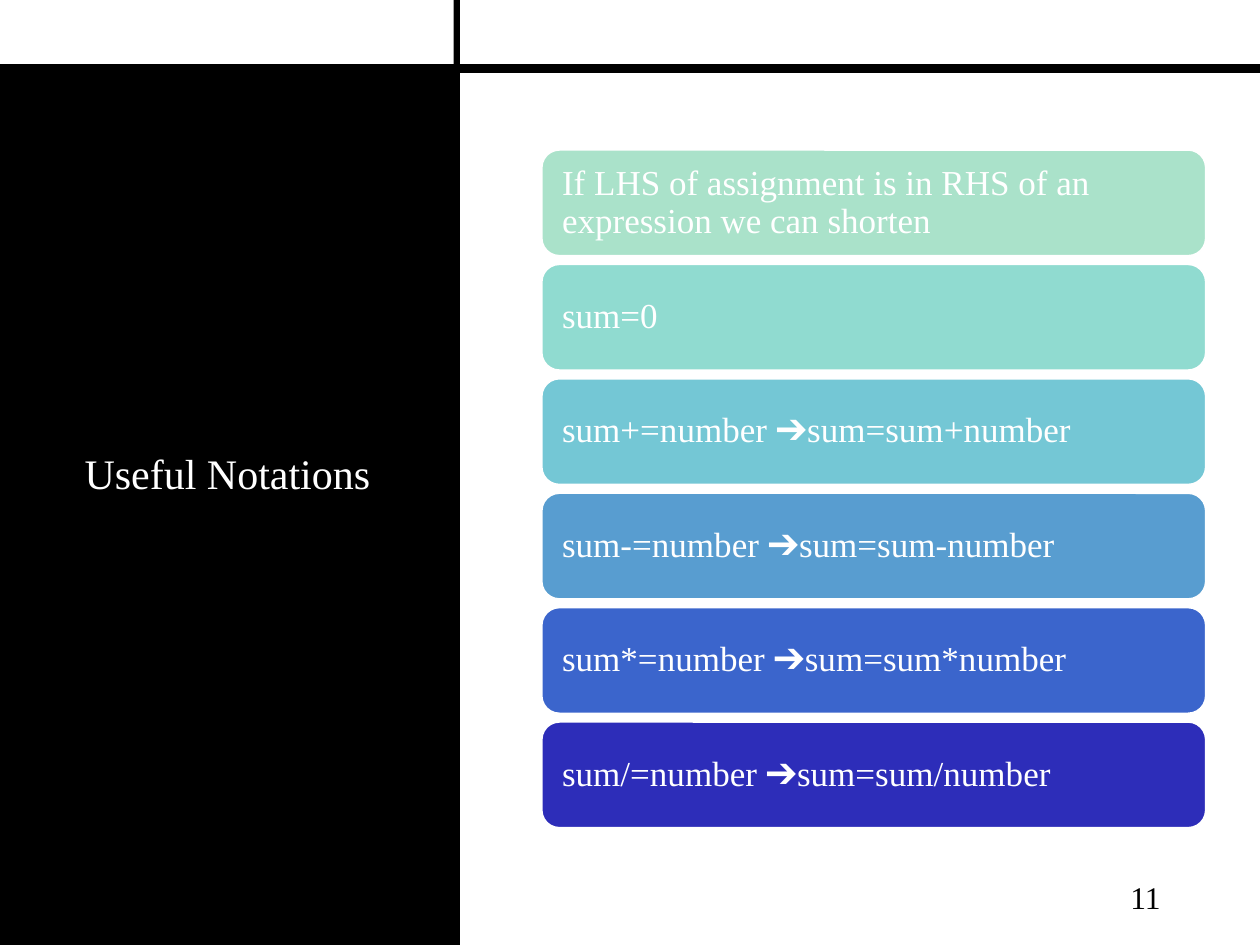
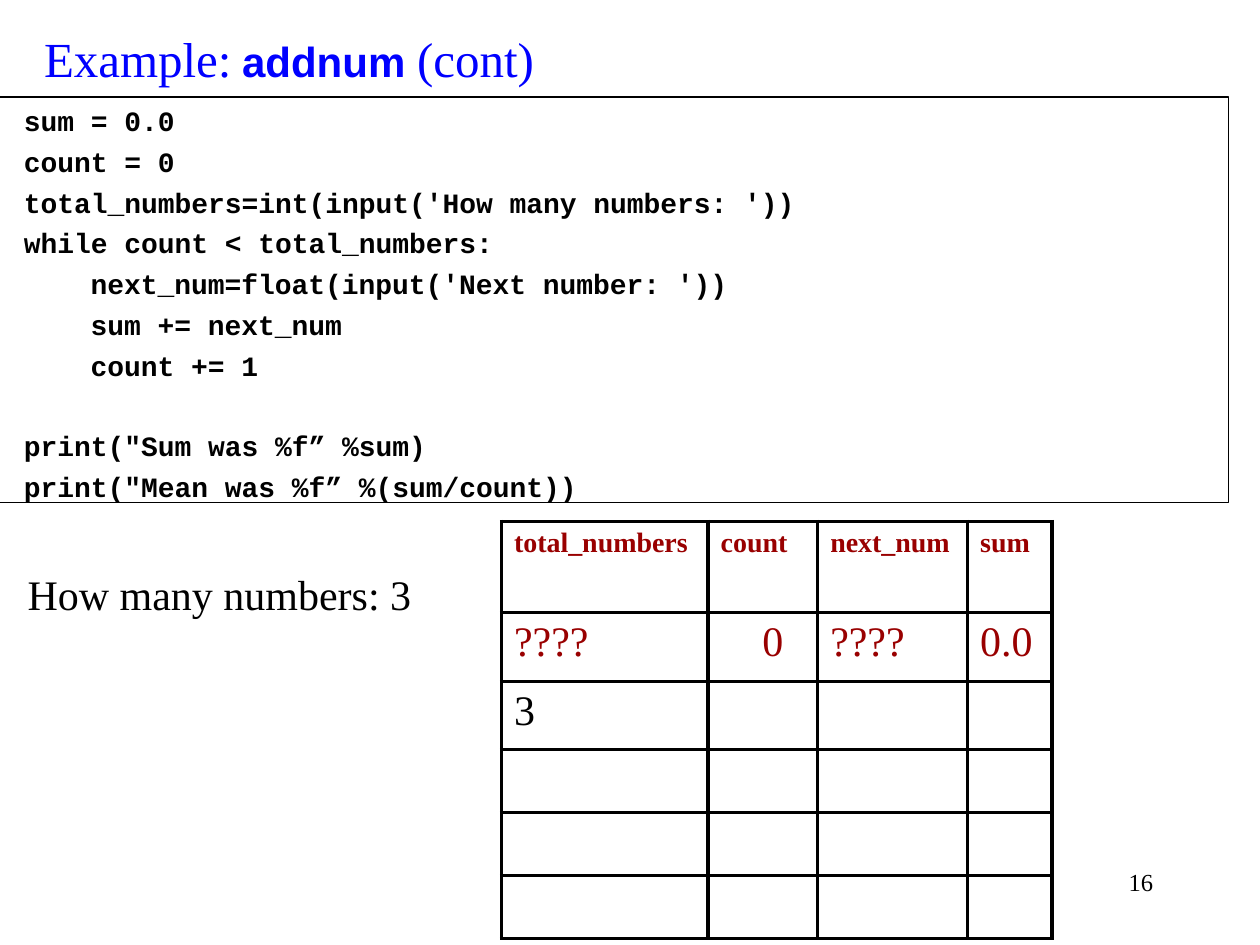
import pptx
import pptx.util
import pptx.oxml
import pptx.dml.color
import pptx.enum.shapes
import pptx.enum.text
from dataclasses import dataclass

Inches = pptx.util.Inches
Pt = pptx.util.Pt
Shape = pptx.enum.shapes.MSO_SHAPE
Anchor = pptx.enum.text.MSO_ANCHOR
Align = pptx.enum.text.PP_ALIGN


@dataclass(frozen=True)
class Theme:
    black: str = "000000"
    white: str = "FFFFFF"
    blue: str = "0000FF"
    red: str = "990000"
    serif: str = "Times New Roman"
    sans: str = "Arial"
    mono: str = "Courier New"
    heading: int = 28
    large: int = 24
    card: int = 20
    number: int = 18
    small: int = 16
    tiny: int = 14


THEME = Theme()

# Content: notations
NOTATIONS_TITLE = "Useful Notations"
NOTATIONS = [
    ("If LHS of assignment is in RHS of an expression we can shorten", "AAE2CA"),
    ("sum=0", "90DBD0"),
    ("sum+=number ➔sum=sum+number", "74C7D5"),
    ("sum-=number ➔sum=sum-number", "589DD0"),
    ("sum*=number ➔sum=sum*number", "3B65CC"),
    ("sum/=number ➔sum=sum/number", "2D2DB9"),
]

# Content: addnum example
EXAMPLE_TITLE = [
    ("Example:", {}),
    (" ", {"size": THEME.large, "italic": True}),
    ("addnum ", {"size": THEME.large, "font": THEME.sans, "bold": True}),
    ("(cont)", {}),
]
# Each block is set apart by one line; each line is (indent level, code)
CODE_BLOCKS = [
    [
        (0, "sum = 0.0"),
        (0, "count = 0"),
        (0, "total_numbers=int(input('How many numbers: '))"),
        (0, "while count < total_numbers:"),
        (1, "next_num=float(input('Next number: '))"),
        (1, "sum += next_num"),
        (1, "count += 1"),
    ],
    [
        (0, 'print("Sum was %f” %sum)'),
        (0, 'print("Mean was %f” %(sum/count))'),
    ],
]
PROMPT = "How many numbers: 3"
TRACE_HEADER = ["total_numbers", "count", "next_num", "sum"]
TRACE_START = ["????", "0", "????", "0.0"]
TRACE_INPUT = ["3", "", "", ""]
TRACE_COLUMNS = [1.64, 0.87, 1.19, 0.67]
TRACE_ROWS = [0.72, 0.55, 0.54, 0.5, 0.5, 0.5]


def color(value):
    return pptx.dml.color.RGBColor.from_string(value)


def write(paragraph, text, *, size, font=THEME.serif, ink=THEME.black, bold=False,
          italic=False, align=Align.LEFT, spacing=None, before=0, after=0):
    """Fill a paragraph with a string or a list of (text, format changes)."""
    paragraph.alignment = align
    paragraph.space_before = Pt(before)
    paragraph.space_after = Pt(after)
    if spacing:
        paragraph.line_spacing = spacing
    base = dict(size=size, font=font, ink=ink, bold=bold, italic=italic)
    for words, changes in [(text, {})] if isinstance(text, str) else text:
        style = {**base, **changes}
        run = paragraph.add_run()
        run.text = words
        run.font.size = Pt(style["size"])
        run.font.name = style["font"]
        run.font.bold = style["bold"]
        run.font.italic = style["italic"]
        run.font.color.rgb = color(style["ink"])


def set_frame(shape, anchor=Anchor.TOP, margins=(0.1, 0.05, 0.1, 0.05), wrap=True):
    frame = shape.text_frame
    frame.auto_size = pptx.enum.text.MSO_AUTO_SIZE.NONE
    frame.word_wrap = wrap
    frame.vertical_anchor = anchor
    (frame.margin_left, frame.margin_top,
     frame.margin_right, frame.margin_bottom) = map(Inches, margins)
    return frame


def add_box(slide, box, kind=Shape.RECTANGLE, fill=None, line=None, width=1):
    shape = slide.shapes.add_shape(kind, *map(Inches, box))
    shape.shadow.inherit = False
    if fill:
        shape.fill.solid()
        shape.fill.fore_color.rgb = color(fill)
    else:
        shape.fill.background()
    if line:
        shape.line.color.rgb = color(line)
        shape.line.width = Pt(width)
    else:
        shape.line.fill.background()
    return shape


def add_label(slide, box, text, wrap=True, **style):
    label = slide.shapes.add_textbox(*map(Inches, box))
    write(set_frame(label, wrap=wrap).paragraphs[0], text, **style)


def place_title(slide, box, text, anchor, top_margin=0.05, **style):
    title = slide.shapes.title
    title.left, title.top, title.width, title.height = map(Inches, box)
    frame = set_frame(title, anchor, (0.1, top_margin, 0.1, 0.05))
    write(frame.paragraphs[0], text, **style)
    return title


def border_cell(cell, width=2.25):
    properties = cell._tc.get_or_add_tcPr()
    for side in ("lnL", "lnR", "lnT", "lnB"):
        properties.append(pptx.oxml.parse_xml(
            f'<a:{side} xmlns:a="http://schemas.openxmlformats.org/drawingml/2006/main" '
            f'w="{Pt(width)}"><a:solidFill><a:srgbClr val="{THEME.black}"/>'
            f'</a:solidFill></a:{side}>'))
    cell.fill.background()


def build_notations(slide):
    # Black panel behind the title, then the crossing bars
    title = place_title(slide, (0.49, 0.84, 2.63, 5.82), NOTATIONS_TITLE, Anchor.MIDDLE,
                        size=THEME.large, ink=THEME.white, align=Align.CENTER)
    panel = add_box(slide, (0, 0.58, 3.65, 6.92), fill=THEME.black)
    title.element.addprevious(panel.element)
    for bar in [(3.6, 0, 0.05, 7.5), (0, 0.51, 10, 0.07)]:
        add_box(slide, bar, fill=THEME.black)
    add_label(slide, (7.06, 6.95, 2.25, 0.4), "11", size=THEME.number,
              align=Align.RIGHT, spacing=0.9, after=6)

    # Evenly spaced cards
    first_top, last_top = 1.19, 5.73
    pitch = (last_top - first_top) / (len(NOTATIONS) - 1)
    for index, (text, fill) in enumerate(NOTATIONS):
        card = add_box(slide, (4.3, first_top + index * pitch, 5.27, 0.84),
                       Shape.ROUNDED_RECTANGLE, fill, THEME.white)
        frame = set_frame(card, Anchor.MIDDLE, (0.12, 0.12, 0.12, 0.12))
        write(frame.paragraphs[0], text, size=THEME.card, ink=THEME.white, spacing=0.9)


def build_example(slide):
    place_title(slide, (0.25, 0.13, 9.5, 0.57), EXAMPLE_TITLE, Anchor.TOP, 0.1,
                size=THEME.heading, ink=THEME.blue)
    add_label(slide, (7.17, 6.83, 2.08, 0.5), "16", size=THEME.tiny, align=Align.RIGHT)

    # Code listing
    line_gap, blank_line, indent = 4.2, 22.3, 0.53
    listing = add_box(slide, (-0.01, 0.77, 9.76, 3.22), line=THEME.black, width=0.75)
    frame = set_frame(listing, margins=(0.2, 0.05, 0.1, 0.05))
    paragraph = frame.paragraphs[0]
    for block_index, block in enumerate(CODE_BLOCKS):
        for line_index, (level, code) in enumerate(block):
            if block_index or line_index:
                paragraph = frame.add_paragraph()
            starts_block = block_index > 0 and line_index == 0
            write(paragraph, code, size=THEME.small, font=THEME.mono, bold=True,
                  before=line_gap + (blank_line if starts_block else 0))
            if level:
                paragraph._p.get_or_add_pPr().set("marL", str(Inches(level * indent)))

    # Trace table
    table = slide.shapes.add_table(
        len(TRACE_ROWS), len(TRACE_COLUMNS), Inches(3.98), Inches(4.14),
        Inches(sum(TRACE_COLUMNS)), Inches(sum(TRACE_ROWS))).table
    table.first_row = table.horz_banding = False
    for column, width in zip(table.columns, TRACE_COLUMNS):
        column.width = Inches(width)
    for row, height in zip(table.rows, TRACE_ROWS):
        row.height = Inches(height)
    for cell in table.iter_cells():
        border_cell(cell)
    styles = [
        (TRACE_HEADER, dict(size=THEME.small, ink=THEME.red, bold=True)),
        (TRACE_START, dict(size=THEME.large, ink=THEME.red)),
        (TRACE_INPUT, dict(size=THEME.large)),
    ]
    for row, (values, style) in enumerate(styles):
        for column, value in enumerate(values):
            if value:
                write(table.cell(row, column).text_frame.paragraphs[0], value, **style)
    table.cell(1, 1).margin_left = Inches(0.43)

    add_label(slide, (0.12, 4.46, 3.28, 0.5), PROMPT, wrap=False, size=THEME.large)


def main():
    presentation = pptx.Presentation()
    presentation.slide_width, presentation.slide_height = Inches(10), Inches(7.5)
    title_only = presentation.slide_layouts[5]
    for build in (build_notations, build_example):
        build(presentation.slides.add_slide(title_only))
    presentation.save("out.pptx")


if __name__ == "__main__":
    main()
